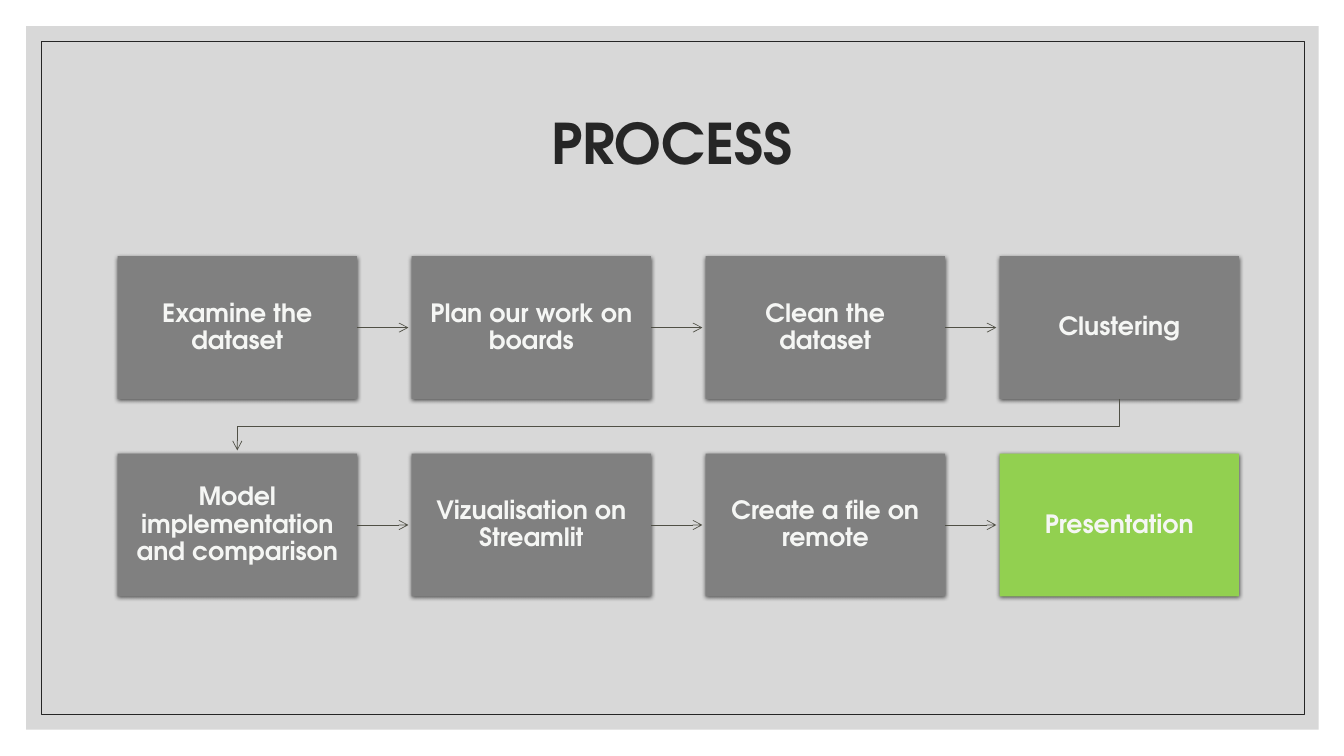
from dataclasses import dataclass

from lxml import etree
from pptx import Presentation
from pptx.dml.color import RGBColor
from pptx.enum.shapes import MSO_CONNECTOR, MSO_SHAPE
from pptx.enum.text import MSO_ANCHOR, PP_ALIGN
from pptx.oxml.ns import qn
from pptx.shapes.autoshape import Shape
from pptx.shapes.connector import Connector
from pptx.util import Pt

RECT = MSO_SHAPE.RECTANGLE
LINE = MSO_CONNECTOR.STRAIGHT
MIDDLE = MSO_ANCHOR.MIDDLE
CENTER = PP_ALIGN.CENTER

PANEL = RGBColor(0xBF, 0xBF, 0xBF)
DARK = RGBColor(0x26, 0x26, 0x26)
GREY = RGBColor(0x80, 0x80, 0x80)
GREEN = RGBColor(0x92, 0xD0, 0x50)
LIGHT = RGBColor(0xF5, 0xF6, 0xF4)
ARROW = RGBColor(0x50, 0x50, 0x46)

FONT = "TeX Gyre Adventor"
SCALE = 9525  # EMU in one px
LEFT, TOP = 112, 244
WIDTH, HEIGHT = 228, 136
STEP_X, STEP_Y = 280, 188
COLS = 4
INSET = 13
GAP = 3  # between an arrow tip and the next box


@dataclass
class Step:
    text: str
    fill: RGBColor = GREY


STEPS = [
    Step("Examine the dataset"),
    Step("Plan our work on boards"),
    Step("Clean the dataset"),
    Step("Clustering"),
    Step("Model implementation and comparison"),
    Step("Vizualisation on Streamlit"),
    Step("Create a file on remote"),
    Step("Presentation", GREEN),
]

deck = Presentation()
deck.slide_width, deck.slide_height = 1280 * SCALE, 720 * SCALE
slide = deck.slides.add_slide(deck.slide_layouts[6])
shapes = slide.shapes


def add_rect(x: int, y: int, w: int, h: int) -> Shape:
    rect = shapes.add_shape(RECT, x * SCALE, y * SCALE, w * SCALE, h * SCALE)
    rect.shadow.inherit = False
    rect.fill.background()
    rect.line.fill.background()
    return rect


def paint(shape: Shape, color: RGBColor) -> None:
    shape.fill.solid()
    shape.fill.fore_color.rgb = color


def write(shape: Shape, text: str, size: int, color: RGBColor) -> None:
    frame = shape.text_frame
    frame.word_wrap = True
    frame.vertical_anchor = MIDDLE
    frame.text = text
    para = frame.paragraphs[0]
    para.alignment = CENTER
    para.line_spacing = 0.9
    font = para.runs[0].font
    font.name, font.size, font.bold = FONT, Pt(size), True
    font.color.rgb = color


def set_alpha(color: etree.ElementBase, percent: int) -> None:
    etree.SubElement(color, qn("a:alpha"), val=str(percent * 1000))


def add_shadow(shape: Shape) -> None:
    effects = shape.element.spPr.find(qn("a:effectLst"))
    shadow = etree.SubElement(
        effects, qn("a:outerShdw"), blurRad=str(Pt(3)), dist=str(Pt(1)),
        dir="5400000", algn="ctr", rotWithShape="0")
    set_alpha(etree.SubElement(shadow, qn("a:srgbClr"), val="000000"), 63)


def style_arrow(shape: Shape | Connector) -> None:
    shape.line.color.rgb = ARROW
    shape.line.width = Pt(0.5)
    etree.SubElement(shape.line._get_or_add_ln(), qn("a:tailEnd"), type="arrow")


def add_step(index: int, step: Step) -> Shape:
    row, col = divmod(index, COLS)
    box = add_rect(LEFT + col * STEP_X, TOP + row * STEP_Y, WIDTH, HEIGHT)
    paint(box, step.fill)
    add_shadow(box)
    write(box, step.text, 18, LIGHT)
    frame = box.text_frame
    frame.margin_left = frame.margin_right = INSET * SCALE
    frame.margin_top = frame.margin_bottom = INSET * SCALE
    return box


def add_arrow(box: Shape) -> None:
    start, mid = box.left + box.width, box.top + box.height // 2
    end = box.left + (STEP_X - GAP) * SCALE
    arrow = shapes.add_connector(LINE, start, mid, end, mid)
    arrow.begin_connect(box, 3)
    etree.SubElement(arrow.element.spPr, qn("a:effectLst"))
    style_arrow(arrow)


def add_return() -> None:
    """Lead from the end of the first row to the start of the second."""
    first = LEFT + WIDTH // 2
    last = first + (COLS - 1) * STEP_X
    base, below = TOP + HEIGHT, TOP + STEP_Y
    turn = (base + below) // 2
    pen = shapes.build_freeform(last, base, scale=SCALE)
    pen.add_line_segments(
        [(last, turn), (first, turn), (first, below - GAP)], close=False)
    route = pen.convert_to_shape()
    route.shadow.inherit = False
    route.fill.background()
    style_arrow(route)


# Background panel and thin frame
panel = add_rect(25, 25, 1231, 670)
paint(panel, PANEL)
set_alpha(panel.element.spPr.find(qn("a:solidFill"))[0], 60)
border = add_rect(39, 39, 1203, 641)
border.line.color.rgb = DARK
border.line.width = Pt(0.5)

# Title
title = shapes.add_textbox(LEFT * SCALE, 67 * SCALE, 1056 * SCALE, 144 * SCALE)
write(title, "PROCESS", 40, DARK)

# Process steps and the arrows between them
boxes = [add_step(index, step) for index, step in enumerate(STEPS)]
for index, box in enumerate(boxes):
    if (index + 1) % COLS:
        add_arrow(box)
add_return()

deck.save("out.pptx")
